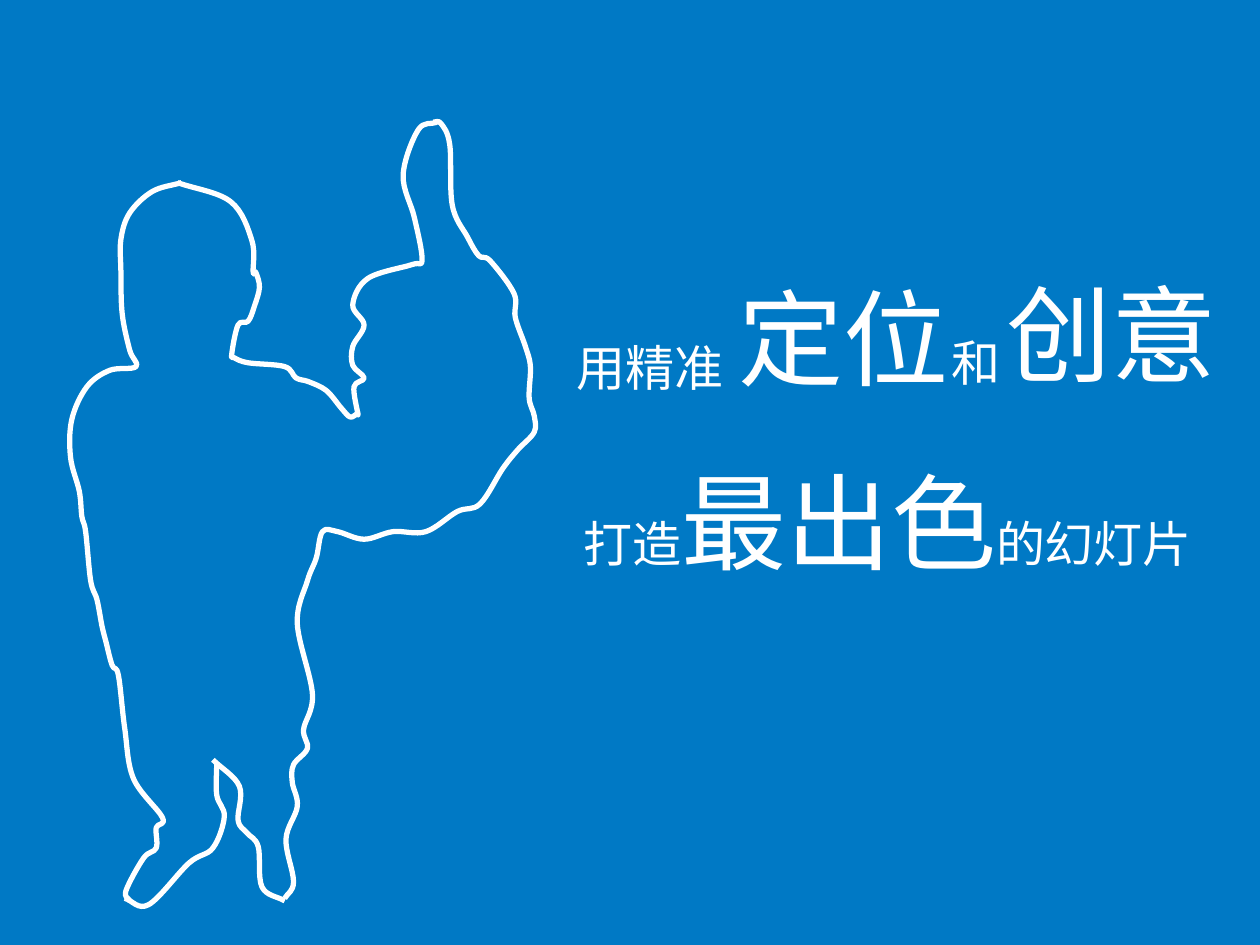
import dataclasses

import pptx
import pptx.dml.color
import pptx.enum.text
import pptx.oxml
import pptx.oxml.ns
import pptx.util

PX = pptx.util.Inches(0.01)


@dataclasses.dataclass(frozen=True)
class Theme:
    """Colours, font, type sizes and line width of the slide."""
    back: pptx.dml.color.RGBColor = pptx.dml.color.RGBColor(0x00, 0x79, 0xC5)
    ink: pptx.dml.color.RGBColor = pptx.dml.color.RGBColor(0xFF, 0xFF, 0xFF)
    font: str = "Noto Sans CJK SC"
    small: int = 28
    large: int = 60
    stroke: int = 3


THEME = Theme()

OUTLINE = {
    "back and left leg": [
        (144, 145), (121, 152), (103, 169), (96, 190), (96, 215), (97, 249),
        (103, 278), (108, 291), (87, 294), (69, 307), (57, 333), (56, 363),
        (63, 390), (65, 410), (68, 422), (72, 461), (77, 476), (81, 497),
        (84, 509), (89, 528), (94, 536), (99, 578), (106, 618), (129, 649),
        (124, 657), (124, 673), (114, 681), (100, 707), (103, 715)],
    "left foot": [
        (99, 713), (118, 718), (150, 685), (169, 673), (178, 648),
        (172, 631), (172, 605)],
    "right leg": [
        (169, 603), (190, 624), (189, 651), (196, 661), (205, 672),
        (208, 704), (226, 715)],
    "front and raised arm": [
        (226, 713), (233, 700), (227, 666), (236, 640), (232, 621),
        (233, 607), (244, 594), (241, 579), (248, 551), (236, 495),
        (244, 461), (251, 443), (256, 422), (268, 422), (289, 428),
        (312, 422), (338, 422), (363, 406), (381, 400), (399, 372),
        (411, 357), (424, 343), (424, 330), (420, 316), (421, 291),
        (417, 275), (409, 252), (408, 233), (389, 207), (380, 203),
        (371, 188), (359, 163), (357, 115), (350, 98), (344, 97)],
    "thumb and fist": [
        (347, 97), (332, 103), (320, 139), (329, 173), (335, 206),
        (327, 210), (292, 221), (280, 242), (289, 258), (280, 275),
        (280, 290), (289, 300), (281, 307), (284, 328), (284, 327)],
    "shoulder and face": [
        (284, 328), (278, 331), (271, 324), (259, 310), (245, 303),
        (235, 300), (226, 291), (197, 288), (186, 284), (184, 281),
        (189, 258), (197, 255), (202, 243), (206, 228), (203, 216),
        (201, 216), (200, 191), (183, 160), (141, 145)],
}

SLOGAN = [
    (349, 9, 195, 110, True, [("创意", THEME.large)]),
    (8, 63, 138, 57, False, [("用精准", THEME.small)]),
    (305, 59, 59, 57, False, [("和", THEME.small)]),
    (136, 12, 195, 110, True, [("定位", THEME.large)]),
    (13, 158, 539, 110, True, [("打造", THEME.small), ("最出色", THEME.large),
                               ("的幻灯片", THEME.small)]),
]


def smooth(shape):
    """Turn the straight segments of a freeform into a Catmull-Rom spline."""
    xpath = shape._element.xpath
    knots = [(int(pt.get("x")), int(pt.get("y"))) for pt in xpath(".//a:pt")]

    def tangent(i):
        a, b = max(i - 1, 0), min(i + 1, len(knots) - 1)
        return [(q - p) / (3 * (b - a)) for p, q in zip(knots[a], knots[b])]

    for i, segment in enumerate(xpath(".//a:lnTo")):
        segment.tag = pptx.oxml.ns.qn("a:cubicBezTo")
        for place, (knot, sign) in enumerate([(i, 1), (i + 1, -1)]):
            x, y = [round(k + sign * t)
                    for k, t in zip(knots[knot], tangent(knot))]
            segment.insert(place, pptx.oxml.parse_xml(
                f'<a:pt {pptx.oxml.ns.nsdecls("a")} x="{x}" y="{y}"/>'))


def add_figure(s, left, top):
    """Draw the thumbs-up figure as open smooth outlines."""
    for knots in OUTLINE.values():
        points = [((left + x) * PX, (top + y) * PX) for x, y in knots]
        builder = s.shapes.build_freeform(*points[0])
        builder.add_line_segments(points[1:], close=False)
        sp = builder.convert_to_shape()
        sp.shadow.inherit = False
        sp.fill.background()
        sp.line.color.rgb = THEME.ink
        sp.line.width = pptx.util.Pt(THEME.stroke)
        smooth(sp)


def add_run(p, text, size):
    """Append one run in the theme font."""
    r = p.add_run()
    r.text = text
    r.font.size = pptx.util.Pt(size)
    r.font.name = THEME.font
    r.font.color.rgb = THEME.ink
    r._r.get_or_add_rPr().append(pptx.oxml.parse_xml(
        f'<a:ea {pptx.oxml.ns.nsdecls("a")} typeface="{THEME.font}"/>'))


def add_slogan(s, left, top):
    """Set the slogan in small and large words."""
    for x, y, width, height, wrap, runs in SLOGAN:
        sp = s.shapes.add_textbox((left + x) * PX, (top + y) * PX,
                                  width * PX, height * PX)
        tf = sp.text_frame
        tf.word_wrap = wrap
        tf.auto_size = pptx.enum.text.MSO_AUTO_SIZE.SHAPE_TO_FIT_TEXT
        for text, size in runs:
            add_run(tf.paragraphs[0], text, size)


def main():
    """Build and save the slide."""
    prs = pptx.Presentation()
    prs.slide_width, prs.slide_height = 1000 * PX, 750 * PX
    s = prs.slides.add_slide(prs.slide_layouts[6])
    s.background.fill.solid()
    s.background.fill.fore_color.rgb = THEME.back
    add_figure(s, 0, 0)
    add_slogan(s, 440, 200)
    prs.save("out.pptx")


if __name__ == "__main__":
    main()
